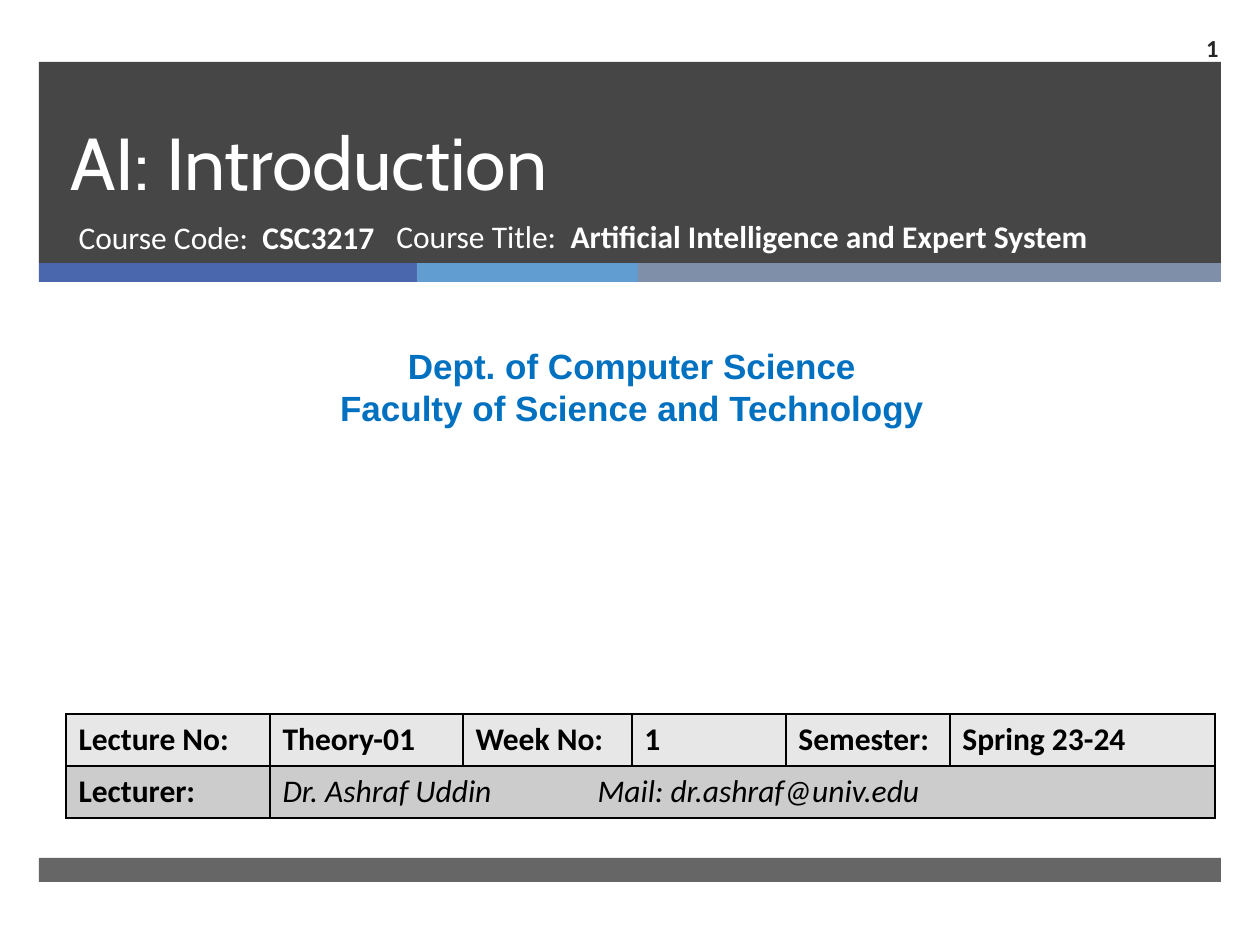
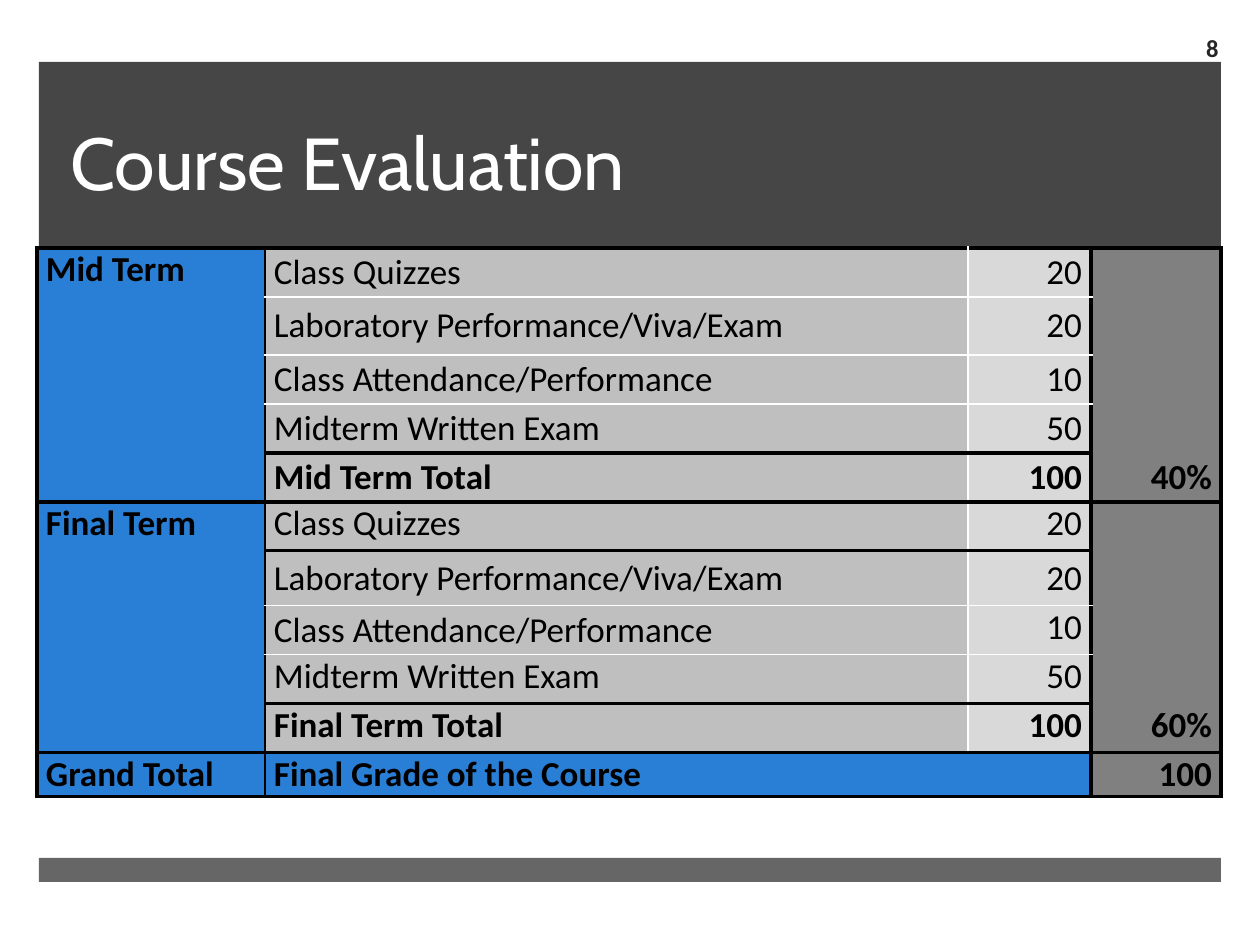
import lxml.etree
import pptx
import pptx.dml.color
import pptx.enum.shapes
import pptx.enum.text
import pptx.oxml.ns
import pptx.util

RGB = pptx.dml.color.RGBColor
ALIGN = pptx.enum.text.PP_ALIGN
ANCHOR = pptx.enum.text.MSO_ANCHOR
AUTO_SIZE = pptx.enum.text.MSO_AUTO_SIZE
qn = pptx.oxml.ns.qn

WHITE = RGB(0xFF, 0xFF, 0xFF)
BLACK = RGB(0x00, 0x00, 0x00)
CHARCOAL = RGB(0x26, 0x26, 0x26)
INDIGO = RGB(0x4A, 0x66, 0xAC)
SKY = RGB(0x62, 0x9D, 0xD1)
SLATE = RGB(0x7F, 0x8F, 0xA9)
DEPT_BLUE = RGB(0x00, 0x70, 0xC0)
TERM_BLUE = RGB(0x29, 0x7F, 0xD5)
ITEM_GREY = RGB(0xBF, 0xBF, 0xBF)
MARK_GREY = RGB(0xD9, 0xD9, 0xD9)
WEIGHT_GREY = RGB(0x80, 0x80, 0x80)
LECTURE_GREY = RGB(0xE7, 0xE7, 0xE7)
LECTURER_GREY = RGB(0xCC, 0xCC, 0xCC)

# Table lines: colour and width in points
HEAVY, THIN, LIGHT = (BLACK, 2.25), (BLACK, 1), (WHITE, 1)

PX_PER_INCH = 126
SLIDE_BOX = (0, 0, 1260, 945)
FRAME_BOX = (39, 62, 1182, 820)
TITLE_BOX = (58, 62, 1076, 150)
NUMBER_BOX = (1144, 23, 87, 49)


def px(length):
    return round(length * 914400 / PX_PER_INCH)


def emu(box):
    return [px(length) for length in box]


def style(runs, size, colour, bold=False, italic=False, font="Calibri"):
    for run in runs:
        run.font.name = font
        run.font.size = pptx.util.Pt(size)
        run.font.color.rgb = colour
        run.font.bold = bold
        run.font.italic = italic


def add_text(slide, box, text):
    label = slide.shapes.add_textbox(*emu(box))
    label.text_frame.word_wrap = True
    label.text_frame.text = text
    return label.text_frame


def label_and_value(frame, label, value):
    line = frame.paragraphs[0]
    line.text = label
    line.add_run().text = value
    style(line.runs, 18, WHITE)
    line.runs[1].font.bold = True


# Shared frame: title band, three-colour strip and footer band on the master
def add_frame(master, slide, box):
    left, top, width, height = box
    bands = [
        (0, 0, width, 201, CHARCOAL, 85),
        (0, 201, 378, 19, INDIGO, 100),
        (378, 201, 221, 19, SKY, 100),
        (599, 201, width - 599, 19, SLATE, 100),
        (0, height - 24, width, 24, CHARCOAL, 70),
    ]
    for index, (x, y, w, h, colour, opacity) in enumerate(bands):
        band = slide.shapes.add_shape(
            pptx.enum.shapes.MSO_SHAPE.RECTANGLE, *emu((left + x, top + y, w, h)))
        band.shadow.inherit = False
        band.line.fill.background()
        band.fill.solid()
        band.fill.fore_color.rgb = colour
        if opacity < 100:
            tint = band._element.spPr.find(".//" + qn("a:srgbClr"))
            lxml.etree.SubElement(tint, qn("a:alpha"), val=str(opacity * 1000))
        band._element.nvSpPr.cNvPr.set("id", str(101 + index))
        master.shapes._spTree.insert(2 + index, band._element)


def place(placeholder, box):
    placeholder.left, placeholder.top, placeholder.width, placeholder.height = emu(box)
    frame = placeholder.text_frame
    frame.auto_size = AUTO_SIZE.NONE
    frame.paragraphs[0].alignment = ALIGN.LEFT
    return frame


def add_titled_slide(deck, title, number):
    slide = deck.slides.add_slide(deck.slide_layouts[0])
    slide.shapes.title.text_frame.text = title
    heading = place(slide.shapes.title, TITLE_BOX)
    heading.vertical_anchor = ANCHOR.BOTTOM
    heading.paragraphs[0].line_spacing = pptx.util.Pt(46)
    style(heading.paragraphs[0].runs, 42, WHITE, font="Cabin")

    page = add_text(slide, NUMBER_BOX, number)
    page.vertical_anchor = ANCHOR.MIDDLE
    page.paragraphs[0].alignment = ALIGN.RIGHT
    style(page.paragraphs[0].runs, 14, CHARCOAL, bold=True)
    return slide


# Tables
def add_grid(slide, left, top, columns, rows):
    grid = slide.shapes.add_table(
        len(rows), len(columns), *emu((left, top, sum(columns), sum(rows)))).table
    grid.first_row = grid.horz_banding = False
    for column, width in zip(grid.columns, columns):
        column.width = px(width)
    for row, height in zip(grid.rows, rows):
        row.height = px(height)
    return grid


def paint_cell(cell, fill, left, right, top, bottom):
    properties = cell._tc.get_or_add_tcPr()
    for side, line in zip("LRTB", (left, right, top, bottom)):
        edge = lxml.etree.SubElement(properties, qn("a:ln" + side))
        if line is None:
            lxml.etree.SubElement(edge, qn("a:noFill"))
            continue
        colour, width = line
        edge.set("w", str(pptx.util.Pt(width)))
        paint = lxml.etree.SubElement(edge, qn("a:solidFill"))
        lxml.etree.SubElement(paint, qn("a:srgbClr"), val=str(colour))
    cell.fill.solid()
    cell.fill.fore_color.rgb = fill


def add_lecture_table(slide, left, top):
    lecture = ["Lecture No:", "Theory-01", "Week No:", "1", "Semester:", "Spring 23-24"]
    lecturer = ["Lecturer:", "Dr. Ashraf Uddin\t\tMail: dr.ashraf@univ.edu"]
    grid = add_grid(slide, left, top, [204, 193, 169, 154, 164, 265], [52, 52])
    for r, (texts, fill) in enumerate([(lecture, LECTURE_GREY), (lecturer, LECTURER_GREY)]):
        for c in range(len(lecture)):
            paint_cell(grid.cell(r, c), fill, THIN, THIN, THIN, THIN)
        for c, text in enumerate(texts):
            cell = grid.cell(r, c)
            cell.text_frame.text = text
            contact = (r, c) == (1, 1)
            style(cell.text_frame.paragraphs[0].runs, 18, BLACK, not contact, contact)
    grid.cell(1, 1).merge(grid.cell(1, 5))


def add_evaluation_table(slide, left, top):
    items = ["Class Quizzes", "Laboratory Performance/Viva/Exam",
             "Class Attendance/Performance", "Midterm Written Exam"]
    marks = ["20", "20", "10", "50"]
    rows = []
    for term, weight in [("Mid Term", "40%"), ("Final Term", "60%")]:
        rows += [["", item, mark, ""] for item, mark in zip(items, marks)]
        rows[-len(items)][0] = term
        rows.append(["", term + " Total", "100", weight])
    rows.append(["Grand Total", "Final Grade of the Course", "", "100"])

    last = len(rows) - 1
    total_rows = (4, 9, last)
    fills = [TERM_BLUE, ITEM_GREY, MARK_GREY, WEIGHT_GREY]
    upright = [HEAVY, THIN, LIGHT, HEAVY, HEAVY]

    def level(boundary, column):
        if boundary in (0, 5, 10, 11):
            return HEAVY
        if column in (0, 3):
            return None
        return HEAVY if boundary in (4, 6, 9) else LIGHT

    heights = [49, 58, 49, 49, 49, 49, 55, 49, 49, 49, 44]
    grid = add_grid(slide, left, top, [228, 703, 123, 130], heights)
    for r, row in enumerate(rows):
        for c, text in enumerate(row):
            cell = grid.cell(r, c)
            grand_item = r == last and c in (1, 2)
            paint_cell(cell, TERM_BLUE if grand_item else fills[c],
                       upright[c], HEAVY if grand_item else upright[c + 1],
                       level(r, c), level(r + 1, c))
            cell.margin_left = cell.margin_right = px(9)
            cell.margin_top = cell.margin_bottom = 0
            centred = c > 0 and (r in (0, 1, 2, 3, 4, 6) or (r, c) == (7, 1))
            cell.vertical_anchor = ANCHOR.MIDDLE if centred else ANCHOR.TOP
            if text:
                cell.text_frame.text = text
                line = cell.text_frame.paragraphs[0]
                line.alignment = ALIGN.RIGHT if c > 1 else ALIGN.LEFT
                style(line.runs, 20, BLACK, bold=c == 0 or r in total_rows)
    grid.cell(last, 1).merge(grid.cell(last, 2))


# Slides
def fill_introduction(slide, box):
    left, top = box[:2]
    course_code = place(slide.placeholders[1], (left + 66, top + 212, 384, 67))
    course_code.vertical_anchor = ANCHOR.TOP
    course_code.paragraphs[0].space_before = pptx.util.Pt(0)
    label_and_value(course_code, "Course Code:  ", "CSC3217")

    department = add_text(slide, (left + 10, top + 338, 1244, 97),
                          "Dept. of Computer Science\nFaculty of Science and Technology")
    department.auto_size = AUTO_SIZE.SHAPE_TO_FIT_TEXT
    for line in department.paragraphs:
        line.alignment = ALIGN.CENTER
        style(line.runs, 20, DEPT_BLUE, bold=True, font="Arial")

    add_lecture_table(slide, left + 66, top + 714)
    course_title = add_text(slide, (left + 384, top + 211, 721, 67), "")
    label_and_value(course_title, "Course Title:  ",
                    "Artificial Intelligence and Expert System")


def fill_evaluation(slide, box):
    subtitle = slide.placeholders[1]._element
    subtitle.getparent().remove(subtitle)
    add_evaluation_table(slide, box[0] + 37, box[1] + 248)


def main():
    deck = pptx.Presentation()
    deck.slide_width, deck.slide_height = emu(SLIDE_BOX[2:])
    introduction = add_titled_slide(deck, "AI: Introduction", "1")
    add_frame(deck.slide_master, introduction, FRAME_BOX)
    fill_introduction(introduction, SLIDE_BOX)
    evaluation = add_titled_slide(deck, "Course Evaluation", "8")
    fill_evaluation(evaluation, SLIDE_BOX)
    deck.save("out.pptx")


if __name__ == "__main__":
    main()
